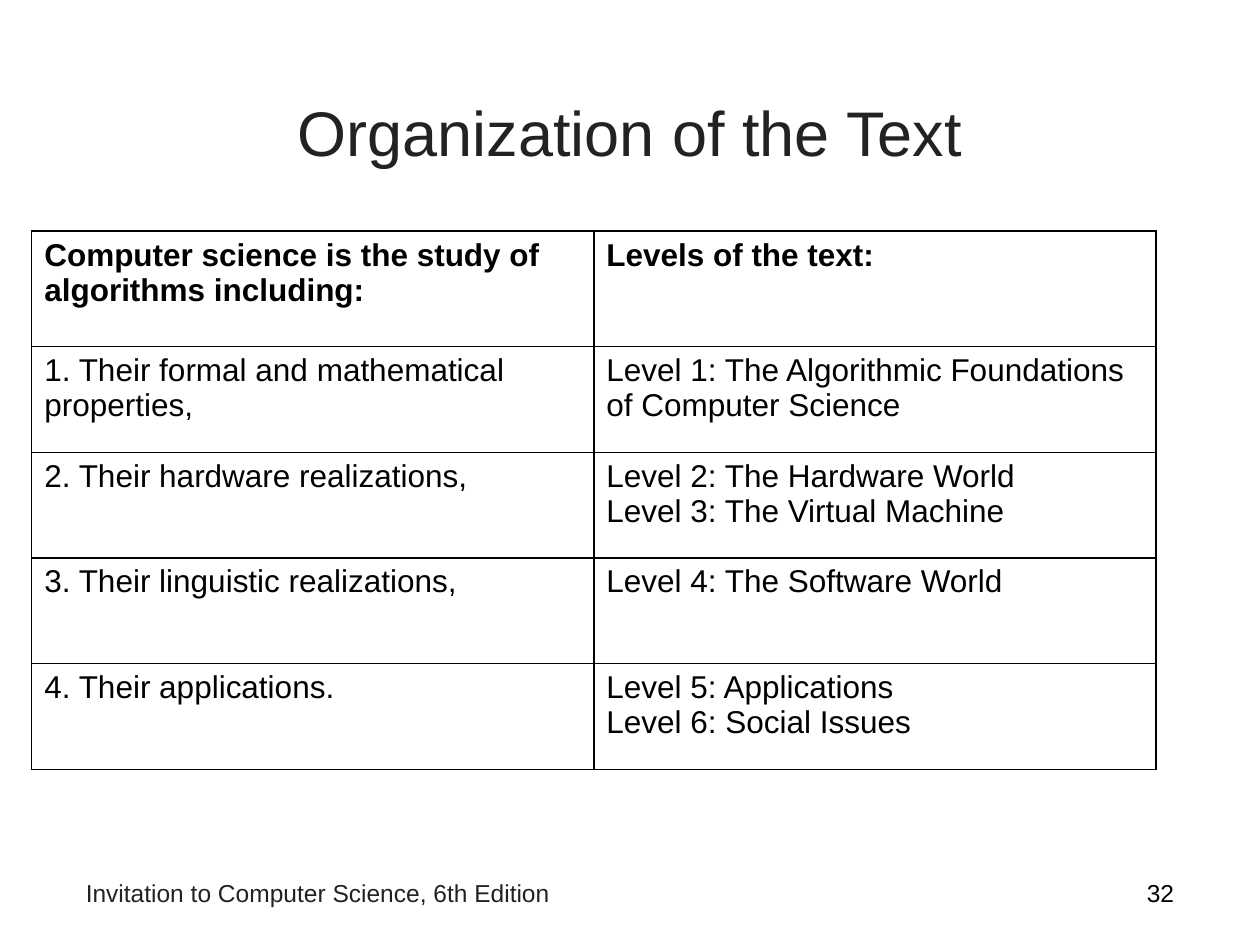
from lxml import etree
from pptx import Presentation
from pptx.dml.color import RGBColor
from pptx.enum import text
from pptx.oxml.ns import qn
from pptx.util import Cm, Pt

BLACK = RGBColor(0x00, 0x00, 0x00)
CHARCOAL = RGBColor(0x22, 0x22, 0x22)
FONT = "Arial"

ROWS = [
    ("Computer science is the study of algorithms including:", "Levels of the text:"),
    ("1. Their formal and mathematical properties,",
     "Level 1: The Algorithmic Foundations of Computer Science"),
    ("2. Their hardware realizations,",
     "Level 2: The Hardware World\nLevel 3: The Virtual Machine"),
    ("3. Their linguistic realizations,", "Level 4: The Software World"),
    ("4. Their applications.", "Level 5: Applications\nLevel 6: Social Issues"),
]


def write(tf, content, size=18, color=BLACK, bold=False, align=text.PP_ALIGN.LEFT):
    """Fill a text frame, one paragraph for each line of content."""
    tf.word_wrap = True
    for i, line in enumerate(content.split("\n")):
        p = tf.add_paragraph() if i else tf.paragraphs[0]
        p.alignment = align
        r = p.add_run()
        r.text = line
        r.font.name = FONT
        r.font.size = Pt(size)
        r.font.bold = bold
        r.font.color.rgb = color


def add_text(slide, box, content, anchor=text.MSO_ANCHOR.TOP, **style):
    sp = slide.shapes.add_textbox(*map(Cm, box))
    sp.text_frame.vertical_anchor = anchor
    write(sp.text_frame, content, **style)


def set_borders(cell, color=BLACK, width=1):
    tc_pr = cell._tc.get_or_add_tcPr()
    for i, side in enumerate(("lnL", "lnR", "lnT", "lnB")):
        ln = etree.Element(qn(f"a:{side}"), w=str(Pt(width)))
        fill = etree.SubElement(ln, qn("a:solidFill"))
        etree.SubElement(fill, qn("a:srgbClr"), val=str(color))
        tc_pr.insert(i, ln)


def add_levels_table(slide):
    heights = [2.33] + [2.13] * (len(ROWS) - 1)
    table = slide.shapes.add_table(
        len(ROWS), 2, Cm(0.64), Cm(4.66), Cm(22.66), Cm(sum(heights))).table
    table.first_row = False
    table.horz_banding = False
    for i, (row, height) in enumerate(zip(ROWS, heights)):
        table.rows[i].height = Cm(height)
        for j, content in enumerate(row):
            cell = table.cell(i, j)
            cell.fill.background()
            set_borders(cell)
            write(cell.text_frame, content, bold=i == 0)


def main():
    prs = Presentation()
    prs.slide_width, prs.slide_height = Cm(25.4), Cm(19.05)
    slide = prs.slides.add_slide(prs.slide_layouts[6])
    add_text(slide, (1.48, 1.06, 22.44, 3.18), "Organization of the Text",
             anchor=text.MSO_ANCHOR.MIDDLE, size=36, color=CHARCOAL,
             align=text.PP_ALIGN.CENTER)
    add_levels_table(slide)
    add_text(slide, (1.48, 17.57, 16.3, 1.06),
             "Invitation to Computer Science, 6th Edition", size=14, color=CHARCOAL)
    add_text(slide, (18.2, 17.57, 5.72, 1.06), "32", size=14,
             align=text.PP_ALIGN.RIGHT)
    prs.save("out.pptx")


if __name__ == "__main__":
    main()
